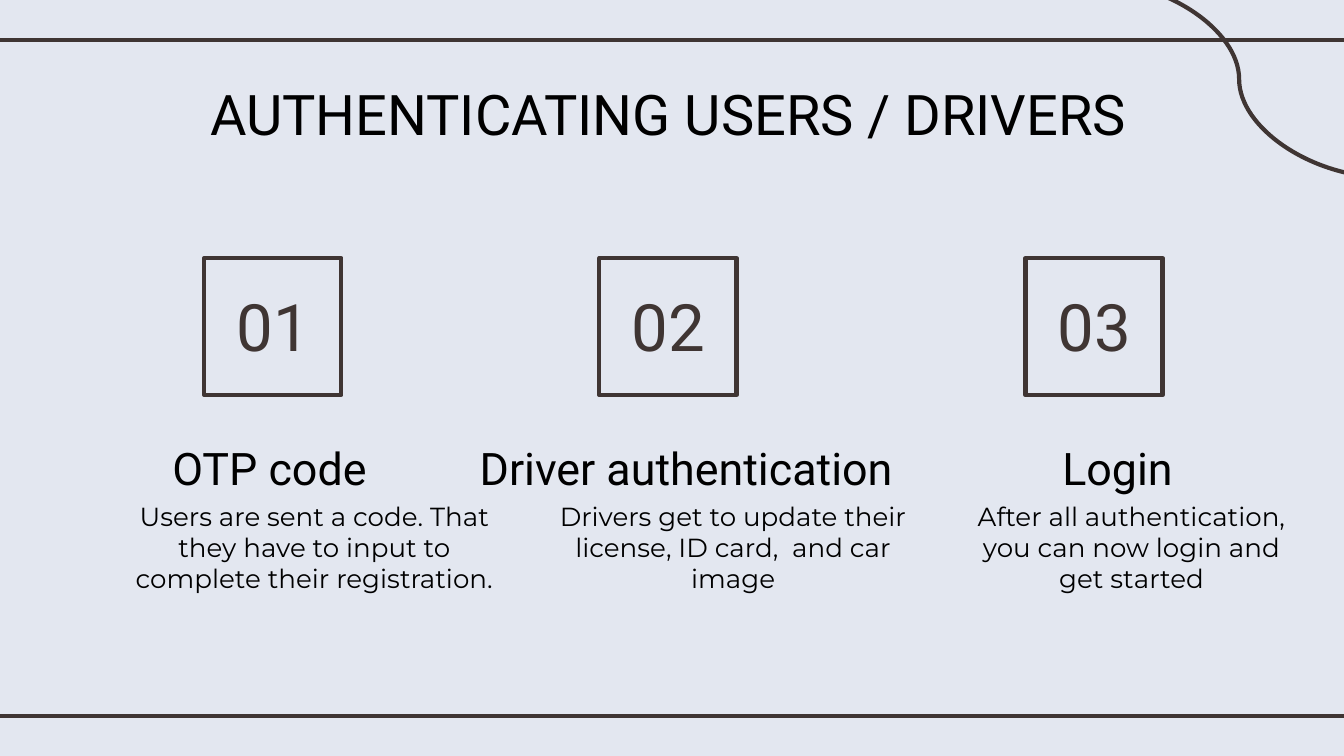
from dataclasses import dataclass

from lxml.etree import SubElement
from pptx import Presentation
from pptx.dml.color import RGBColor
from pptx.enum.shapes import MSO_CONNECTOR, MSO_SHAPE
from pptx.enum.text import MSO_ANCHOR, PP_ALIGN
from pptx.oxml.ns import qn
from pptx.util import Inches, Pt

WIDTH = 10
HEIGHT = WIDTH * 9 / 16
PAPER, BROWN, BLACK = "E3E7F0", "3F3533", "000000"
HEADING_FONT, BODY_FONT = "Roboto", "Montserrat"
SQUARE = 1.02
SQUARE_TOP, HEADING_TOP, BODY_TOP = 1.92, 3.18, 3.62


@dataclass
class Step:
    """One authentication step, with (left, width) spans for its texts."""
    heading: str
    body: str
    square_left: float
    heading_span: tuple
    body_span: tuple
    body_height: float = 1.08


STEPS = [
    Step("OTP code",
         "Users are sent a code. That they have to input to complete their registration.",
         1.52, (0.93, 2.15), (0.74, 3.2), 1.23),
    Step("Driver authentication",
         "Drivers get to update their license, ID card,  and car image",
         4.46, (3.43, 3.35), (3.96, 2.99)),
    Step("Login",
         "After all authentication, you can now login and get started",
         7.63, (7.64, 1.35), (7.13, 2.58)),
]


def colour(value):
    """Turn a hex string into a colour."""
    return RGBColor.from_string(value)


def inches(*lengths):
    """Convert several lengths to inches."""
    return [Inches(length) for length in lengths]


def write(shape, text, size, font, ink=BLACK, anchor=MSO_ANCHOR.TOP):
    """Fill a shape with one centred paragraph."""
    frame = shape.text_frame
    frame.word_wrap = True
    frame.vertical_anchor = anchor
    frame.margin_left = frame.margin_right = Inches(0.1)
    frame.margin_top = frame.margin_bottom = Inches(0.1)
    frame.text = text
    para = frame.paragraphs[0]
    para.alignment = PP_ALIGN.CENTER
    para.line_spacing = 1.0
    para.space_before = Pt(0)
    para.font.size = Pt(size)
    para.font.name = font
    para.font.color.rgb = colour(ink)


def style_line(line):
    """Give an outline the brown stroke of the deck."""
    line.color.rgb = colour(BROWN)
    line.width = Pt(2.25)


def add_stroke(page, kind, *ends):
    """Draw a connector without shadow between two points."""
    stroke = page.shapes.add_connector(kind, *inches(*ends))
    style_line(stroke.line)
    SubElement(stroke._element.spPr, qn("a:effectLst"))


def add_frame(page):
    """Draw the rules at top and bottom and the corner curve."""
    for y in (0.3, 5.33):
        add_stroke(page, MSO_CONNECTOR.STRAIGHT, -0.08, y, WIDTH + 0.08, y)
    add_stroke(page, MSO_CONNECTOR.CURVE, 8.13, -0.14, 10.31, 1.32)


def add_title(page, text, box):
    """Place and format the title placeholder."""
    title = page.shapes.title
    title.left, title.top, title.width, title.height = inches(*box)
    write(title, text, 30, HEADING_FONT)


def add_badge(page, number, left, top):
    """Draw a numbered square as a group."""
    group = page.shapes.add_group_shape()
    square = group.shapes.add_shape(
        MSO_SHAPE.RECTANGLE, *inches(left, top, SQUARE, SQUARE))
    square.shadow.inherit = False
    square.fill.solid()
    square.fill.fore_color.rgb = colour(PAPER)
    style_line(square.line)
    label = group.shapes.add_textbox(*inches(left - 0.04, top + 0.14, 1.11, 0.73))
    write(label, f"{number:02}", 35, HEADING_FONT, BROWN, MSO_ANCHOR.MIDDLE)


def add_step(page, number, step):
    """Place one step: badge, heading and description."""
    add_badge(page, number, step.square_left, SQUARE_TOP)
    rows = [
        (step.heading, step.heading_span, HEADING_TOP, 0.54, 24, HEADING_FONT),
        (step.body, step.body_span, BODY_TOP, step.body_height, 14, BODY_FONT),
    ]
    for text, (left, width), top, height, size, font in rows:
        box = page.shapes.add_textbox(*inches(left, top, width, height))
        write(box, text, size, font)


def main():
    """Build and save the deck."""
    deck = Presentation()
    deck.slide_width, deck.slide_height = inches(WIDTH, HEIGHT)
    page = deck.slides.add_slide(deck.slide_layouts[5])
    page.background.fill.solid()
    page.background.fill.fore_color.rgb = colour(PAPER)
    add_frame(page)
    add_title(page, "AUTHENTICATING USERS / DRIVERS", (0.78, 0.49, 8.39, 0.63))
    for number, step in enumerate(STEPS, start=1):
        add_step(page, number, step)
    deck.save("out.pptx")


if __name__ == "__main__":
    main()
